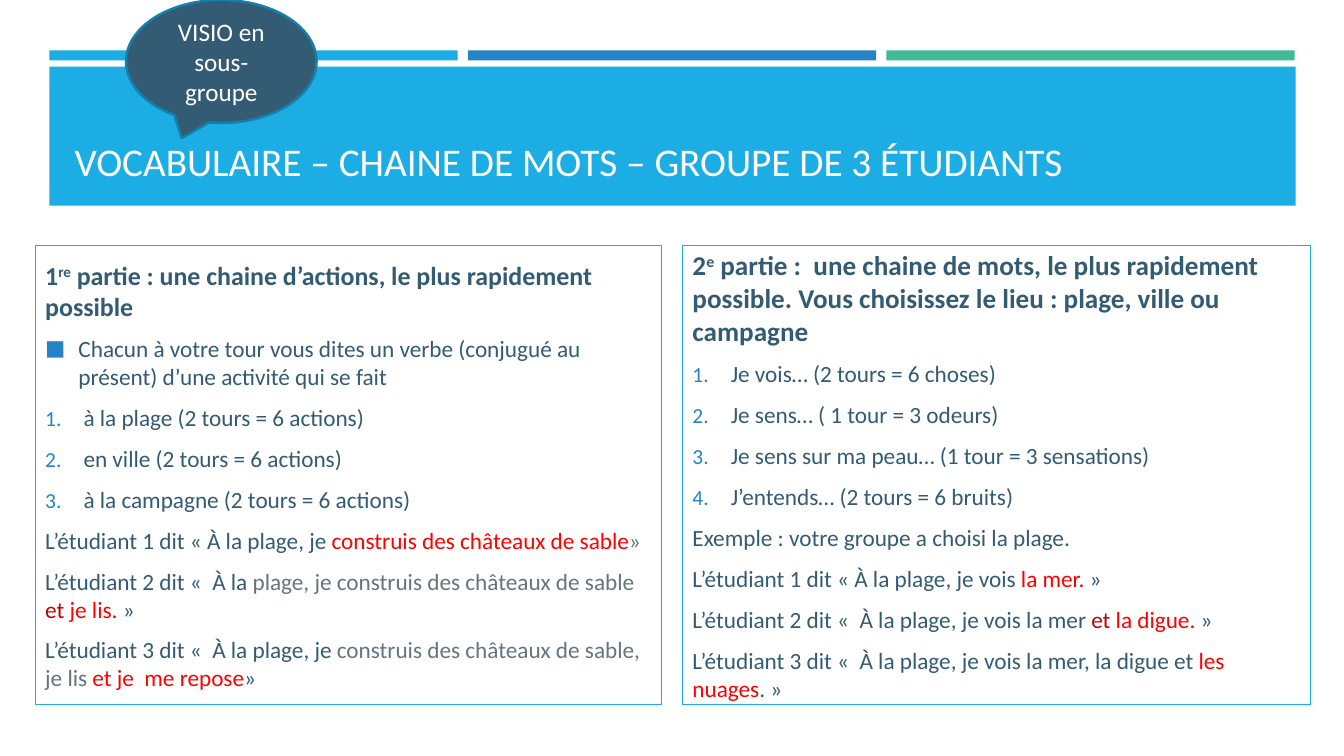
from lxml.etree import SubElement
from pptx import Presentation
from pptx.dml.color import RGBColor
from pptx.enum.shapes import MSO_SHAPE as Preset
from pptx.enum.text import MSO_ANCHOR as Anchor, MSO_AUTO_SIZE as AutoSize, PP_ALIGN as Align
from pptx.oxml.ns import qn
from pptx.util import Inches, Pt

FONT = "Calibri"
WHITE, SLATE, GREY = "FFFFFF", "335B74", "65757D"
SKY, BLUE, GREEN = "1CADE4", "2683C6", "42BA97"
RED, DARK_RED, TEAL = "FF0000", "C00000", "1580A9"
BODY_SIZE = 16.6

ACTIONS_HEADING = ("1", "re", " partie : une chaine d’actions, le plus rapidement possible")
ACTIONS = [
    ("square", [("Chacun à votre tour vous dites un verbe (conjugué au présent) "
                 "d’une activité qui se fait", SLATE)]),
    ("number", [("à la plage (2 tours = 6 actions)", SLATE)]),
    ("number", [("en ville (2 tours = 6 actions)", SLATE)]),
    ("number", [("à la campagne (2 tours = 6 actions)", SLATE)]),
    (None, [("L’étudiant 1 dit « À la plage, je ", SLATE),
            ("construis des châteaux de sable", RED), ("»", GREY)]),
    (None, [("L’étudiant 2 dit «  À la ", SLATE),
            ("plage, je construis des châteaux de sable ", GREY),
            ("et ", DARK_RED), ("je lis.", RED), (" »", SLATE)]),
    (None, [("L’étudiant 3 dit «  À la plage, je ", SLATE),
            ("construis des châteaux de sable, je lis ", GREY),
            ("et je  me repose", RED), ("»", SLATE)]),
]
WORDS_HEADING = ("2", "e", " partie :  une chaine de mots, le plus rapidement possible. "
                 "Vous choisissez le lieu : plage, ville ou campagne")
WORDS = [
    ("number", [("Je vois… (2 tours = 6 choses)", SLATE)]),
    ("number", [("Je sens… ( 1 tour = 3 odeurs)", SLATE)]),
    ("number", [("Je sens sur ma peau… (1 tour = 3 sensations)", SLATE)]),
    ("number", [("J’entends… (2 tours = 6 bruits)", SLATE)]),
    (None, [("Exemple : votre groupe a choisi la plage.", SLATE)]),
    (None, [("L’étudiant 1 dit « À la plage, je vois ", SLATE),
            ("la mer.", RED), (" »", SLATE)]),
    (None, [("L’étudiant 2 dit «  À la plage, je vois la mer ", SLATE),
            ("et ", DARK_RED), ("la digue.", RED), (" »", SLATE)]),
    (None, [("L’étudiant 3 dit «  À la plage, je vois la mer, la digue et ", SLATE),
            ("les nuages", RED), (". »", SLATE)]),
]


def rgb(color):
    """Turn a hex string into a colour."""
    return RGBColor.from_string(color)


def style_font(paragraph, size, color, bold=False):
    """Set the font that all runs of a paragraph share."""
    font = paragraph.font
    font.name, font.size, font.bold = FONT, Pt(size), bold
    font.color.rgb = rgb(color)


def add_filled_shape(slide, preset, box, fill):
    """Add a plain filled shape without line or shadow."""
    shape = slide.shapes.add_shape(preset, *map(Inches, box))
    shape.shadow.inherit = False
    shape.fill.solid()
    shape.fill.fore_color.rgb = rgb(fill)
    shape.line.fill.background()
    return shape


def add_bullet(paragraph, kind):
    """Give a paragraph a hanging square or number."""
    indent = Inches(0.33 if kind == "square" else 0.38)
    properties = paragraph._p.get_or_add_pPr()
    properties.set("marL", str(indent))
    properties.set("indent", str(-indent))
    SubElement(SubElement(properties, qn("a:buClr")), qn("a:srgbClr"), val=BLUE)
    SubElement(properties, qn("a:buSzPct"), val="92000")
    SubElement(properties, qn("a:buFont"), typeface=FONT)
    if kind == "square":
        SubElement(properties, qn("a:buChar"), char="■")
    else:
        SubElement(properties, qn("a:buAutoNum"), type="arabicPeriod")


def set_spacing(paragraph, size):
    """Space a paragraph in proportion to its text size."""
    paragraph.space_before = Pt(round(0.2 * size, 1))
    paragraph.space_after = Pt(6)


def add_heading(paragraph, heading, size):
    """Write a bold heading with a raised ordinal ending."""
    number, ordinal, rest = heading
    paragraph.add_run().text = number
    raised = paragraph.add_run()
    raised.text = ordinal
    raised._r.get_or_add_rPr().set("baseline", "30000")
    paragraph.add_run().text = rest
    set_spacing(paragraph, size)
    style_font(paragraph, size, SLATE, bold=True)


def add_panel(slide, box, heading, heading_size, lines):
    """Add an outlined panel with a heading and its instructions."""
    panel = slide.shapes.add_textbox(*map(Inches, box))
    panel.line.color.rgb = rgb(SKY)
    panel.line.width = Pt(0.75)
    frame = panel.text_frame
    frame.word_wrap = True
    frame.vertical_anchor = Anchor.MIDDLE
    add_heading(frame.paragraphs[0], heading, heading_size)
    for bullet, parts in lines:
        paragraph = frame.add_paragraph()
        if bullet:
            add_bullet(paragraph, bullet)
        set_spacing(paragraph, BODY_SIZE)
        style_font(paragraph, BODY_SIZE, SLATE)
        for text, color in parts:
            run = paragraph.add_run()
            run.text = text
            if color != SLATE:
                run.font.color.rgb = rgb(color)


def add_title(slide, text):
    """Place the title on top of its banner."""
    add_filled_shape(slide, Preset.RECTANGLE, (0.49, 0.66, 12.36, 1.38), SKY)
    title = slide.shapes.title
    slide.shapes.element.append(title.element)
    title.left, title.top, title.width, title.height = map(Inches, (0.64, 0.8, 12.06, 1.08))
    frame = title.text_frame
    frame.text = text
    frame.auto_size = AutoSize.NONE
    frame.vertical_anchor = Anchor.BOTTOM
    frame.paragraphs[0].alignment = Align.LEFT
    style_font(frame.paragraphs[0], 28, WHITE)


def add_callout(slide, text):
    """Add the speech bubble."""
    callout = add_filled_shape(slide, Preset.OVAL_CALLOUT, (1.25, 0, 1.89, 1.22), SLATE)
    callout.line.color.rgb = rgb(TEAL)
    callout.line.width = Pt(1.75)
    frame = callout.text_frame
    frame.text = text
    frame.word_wrap = True
    frame.vertical_anchor = Anchor.MIDDLE
    frame.paragraphs[0].alignment = Align.CENTER
    style_font(frame.paragraphs[0], 18, WHITE)


def main():
    """Build and save the slide."""
    presentation = Presentation()
    presentation.slide_width, presentation.slide_height = Inches(13.33), Inches(7.5)
    slide = presentation.slides.add_slide(presentation.slide_layouts[5])
    for column, color in enumerate((SKY, BLUE, GREEN)):
        add_filled_shape(slide, Preset.RECTANGLE, (0.49 + 4.15 * column, 0.5, 4.05, 0.1), color)
    add_title(slide, "VOCABULAIRE – CHAINE DE MOTS – GROUPE DE 3 ÉTUDIANTS")
    add_panel(slide, (0.35, 2.44, 6.21, 4.55), ACTIONS_HEADING, 18.5, ACTIONS)
    add_panel(slide, (6.77, 2.44, 6.23, 4.55), WORDS_HEADING, 19.4, WORDS)
    add_callout(slide, "VISIO en sous-groupe")
    presentation.save("out.pptx")


if __name__ == "__main__":
    main()
